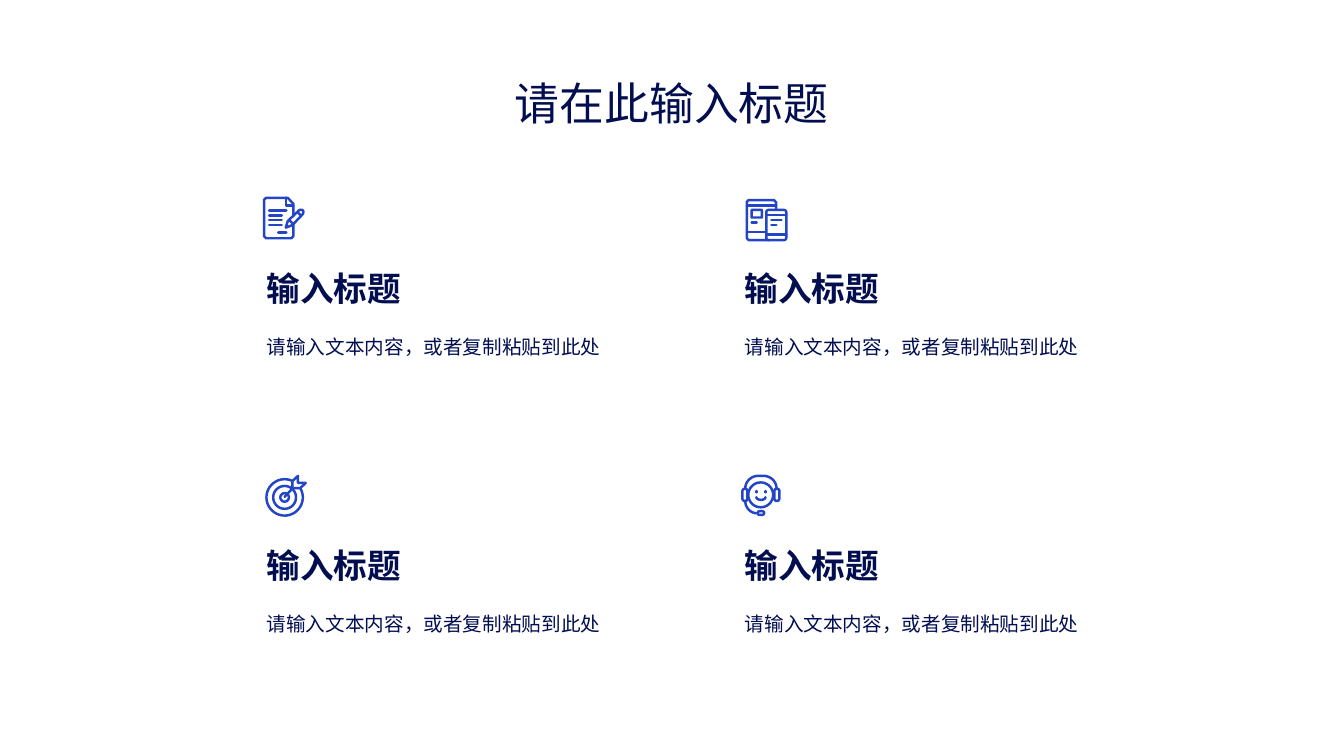
"""Build a title slide section with four captioned line icons."""
from math import cos, radians, sin
from lxml.etree import SubElement
from pptx import Presentation
from pptx.dml.color import RGBColor as Rgb
from pptx.enum.shapes import MSO_CONNECTOR as Link
from pptx.enum.text import MSO_AUTO_SIZE as Fit, PP_ALIGN as Align
from pptx.oxml.ns import qn
from pptx.util import Cm, Pt


def arc(x, y, wide, high, start, end, steps=12):
    """Return points along an elliptical arc."""
    turns = [radians(start + (end - start) * i / steps)
             for i in range(steps + 1)]
    return [(x + wide * cos(t), y + high * sin(t)) for t in turns]


def ring(x, y, r, start=0, end=360):
    """Return points around a circle."""
    return arc(x, y, r, r, start, end, 36)


def card(x, y, right, low, bend):
    """Return the closed outline of a box with round corners."""
    spots = [(right - bend, low - bend), (x + bend, low - bend),
             (x + bend, y + bend), (right - bend, y + bend)]
    dots = [dot for i, (a, b) in enumerate(spots)
            for dot in arc(a, b, bend, bend, 90 * i, 90 * i + 90, 4)]
    return dots + dots[:1]


THEME = {
    "font": "Calibri",
    "ink": Rgb(0x02, 0x0E, 0x50),
    "icon": Rgb(0x23, 0x45, 0xC6),
    "title": Pt(32),
    "head": Pt(24),
    "body": Pt(14),
    "line": Pt(1.75),
}
TITLE = "请在此输入标题"
HEAD = "输入标题"
BODY = "请输入文本内容，或者复制粘贴到此处"
LEFT, TOP = 6.47, 6.63
GAP_X, GAP_Y = 12.05, 6.97
WIDE, DROP = 9.53, 1.69
UNIT = 1.07 / 42

NOTE = [
    ("path", [
        [(30, 19), (30, 7), (24.5, 1), (3, 1), (1, 3), (1, 39),
         (3, 41), (28, 41), (30, 39), (30, 27)],
        [(23, 1), (23, 8.5), (30, 8.5)],
        [(24.5, 24), (36, 13), (39, 13), (40, 14.5), (39.5, 17),
         (29, 28), (22.5, 30.5), (24.5, 24)],
        [(34, 15), (37.5, 18.5)],
        [(26.5, 23.5), (30, 27)],
    ]),
    ("bar", (6, 13.5, 23, 13.5)),
    *[("bar", (6, y, 18.5, y)) for y in (18.5, 23, 28)],
    ("bar", (15, 35.5, 23, 35.5)),
]
PAGES = [
    ("path", [
        [(30.2, 11), (30.2, 3.5), (28, 1.2), (3, 1.2), (1.2, 3),
         (1.2, 39), (3, 40.8), (23, 40.8)],
        [(1.2, 6.5), (30.2, 6.5)],
        [(1.2, 33), (20.5, 33)],
        card(20.5, 11, 40.3, 40.8, 2.2),
        [(20.5, 16), (40.3, 16)],
        [(20.5, 35.5), (40.3, 35.5)],
    ]),
    ("path", [card(6, 11, 16, 18.5, 0.2)]),
    ("bar", (6, 23.5, 11, 23.5)),
    ("bar", (25.5, 21, 35.5, 21)),
    ("bar", (25.5, 26, 30.5, 26)),
]
TARGET = [
    ("path", [
        ring(19, 22.5, 18, -30, 295),
        ring(19, 22.5, 11.3),
        ring(19, 22.5, 4.2),
        [(19, 22), (27, 13.4)],
        [(26.6, 13.4), (26.6, 6.5), (32.2, 1.2), (32.2, 8.2),
         (39.8, 8.2), (34.5, 13.4), (26.6, 13.4)],
    ]),
]
HELPER = [
    ("path", [
        arc(17, 13.8, 13, 12.6, 180, 270)
        + arc(22, 13.8, 13, 12.6, 270, 360),
        arc(16, 26, 12, 12.3, 180, 95),
        ring(19.3, 20, 12.3),
        card(1.2, 14, 6.2, 26, 2.2),
        card(32.8, 14, 37.8, 26, 2.2),
        card(16.3, 36.2, 22.7, 39.8, 1.8),
    ]),
    *[("bar", (x, 16.2, x, 17.6)) for x in (15, 24)],
    ("path", [arc(19.5, 22.3, 4.5, 2.7, 180, 0)]),
]
CELLS = [
    (0, 0, 6.63, 4.96, NOTE),
    (1, 0, 18.79, 5.01, PAGES),
    (0, 1, 6.69, 11.96, TARGET),
    (1, 1, 18.68, 11.96, HELPER),
]


def write(slide, words, box, size, bold=False, align=Align.LEFT):
    """Add one line of text."""
    frame = slide.shapes.add_textbox(*map(Cm, box)).text_frame
    frame.word_wrap = True
    frame.auto_size = Fit.SHAPE_TO_FIT_TEXT
    para = frame.paragraphs[0]
    para.alignment = align
    run = para.add_run()
    run.text = words
    font = run.font
    font.name, font.size, font.bold = THEME["font"], THEME[size], bold
    font.color.rgb = THEME["ink"]


def style(part):
    """Give a part the rounded icon stroke."""
    part.line.color.rgb, part.line.width = THEME["icon"], THEME["line"]
    props = part._element.spPr
    edge = props.find(qn("a:ln"))
    edge.set("cap", "rnd")
    SubElement(edge, qn("a:round"))
    SubElement(props, qn("a:effectLst"))


def draw(slide, left, top, parts):
    """Draw the strokes of one icon."""
    shapes = slide.shapes

    def spot(x, y):
        return Cm(left + x * UNIT), Cm(top + y * UNIT)

    for kind, data in parts:
        if kind == "bar":
            part = shapes.add_connector(
                Link.STRAIGHT, *spot(*data[:2]), *spot(*data[2:]))
        else:
            pen = shapes.build_freeform(*spot(*data[0][0]))
            for i, trace in enumerate(data):
                dots = [spot(*dot) for dot in trace]
                if i:
                    pen.move_to(*dots[0])
                pen.add_line_segments(dots[1:], close=trace[0] == trace[-1])
            part = pen.convert_to_shape()
            part.fill.background()
        style(part)


def main():
    """Build and save the slide."""
    deck = Presentation()
    deck.slide_width, deck.slide_height = Cm(33.87), Cm(19.05)
    slide = deck.slides.add_slide(deck.slide_layouts[6])
    write(slide, TITLE, (6.9, 1.78, 20.06, 1.63), "title", align=Align.CENTER)
    for col, row, x, y, parts in CELLS:
        left, top = LEFT + col * GAP_X, TOP + row * GAP_Y
        write(slide, BODY, (left, top + DROP, WIDE, 0.86), "body")
        write(slide, HEAD, (left, top, WIDE, 1.27), "head", bold=True)
        draw(slide, x, y, parts)
    deck.save("out.pptx")


if __name__ == "__main__":
    main()
